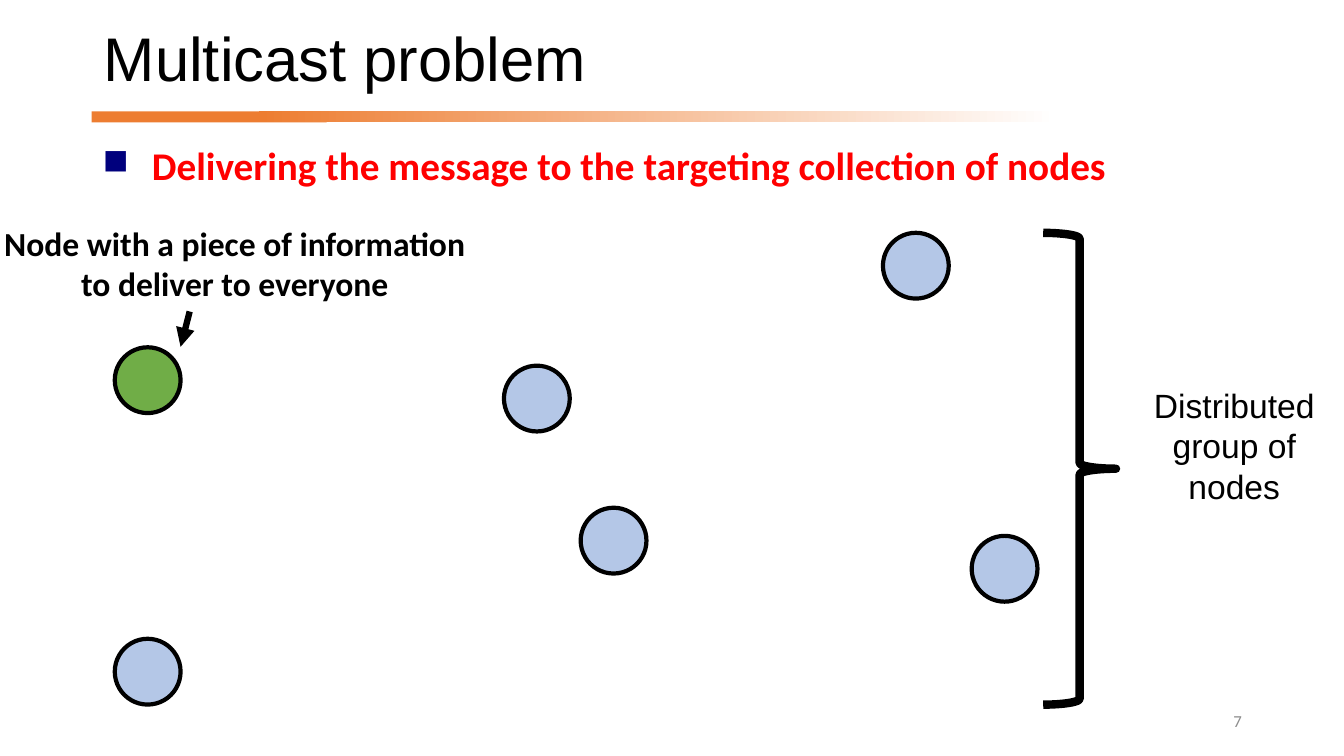
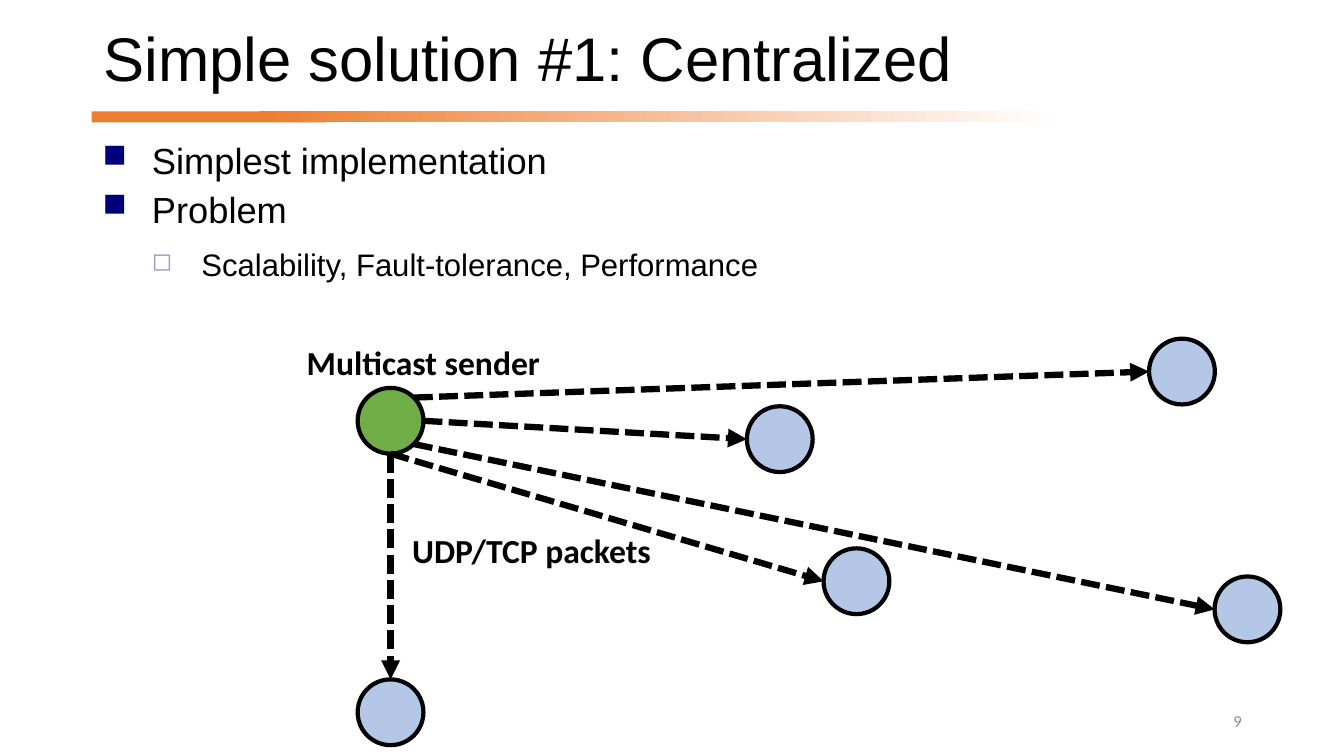
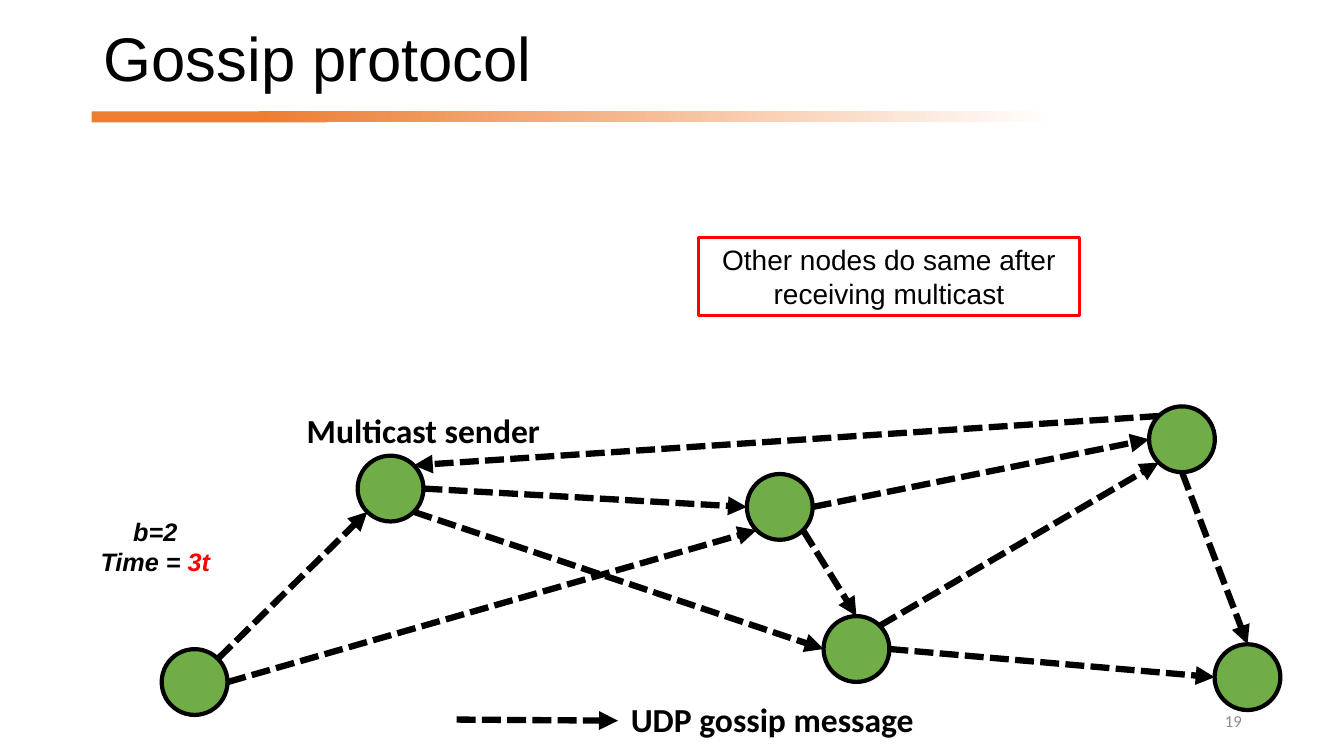
"""Build three slides on the multicast problem and the gossip protocol."""
import dataclasses
import math

import lxml.etree
import pptx
import pptx.dml.color
import pptx.enum.dml
import pptx.enum.shapes
import pptx.enum.text
import pptx.oxml.ns
import pptx.util

Pt = pptx.util.Pt
qn = pptx.oxml.ns.qn
ALIGN = pptx.enum.text.PP_ALIGN
ANCHOR = pptx.enum.text.MSO_ANCHOR
SHAPE = pptx.enum.shapes.MSO_SHAPE


@dataclasses.dataclass(frozen=True)
class Theme:
    """Colours, fonts and type sizes of the presentation."""
    ink: str = "000000"
    paper: str = "FFFFFF"
    accent: str = "ED7D31"
    alert: str = "FF0000"
    muted: str = "8C8C8C"
    informed: str = "70AD47"
    waiting: str = "B4C7E7"
    bullet: str = "00007D"
    sub_bullet: str = "9999CC"
    heading_font: str = "Arial"
    label_font: str = "Calibri"
    title: float = 44
    lead: float = 28
    body: float = 25.9
    label: float = 24
    sub_body: float = 22.2
    callout: float = 20
    note: float = 18
    footer: float = 12
    node_line: float = 3
    arrow_line: float = 4.5
    brace_line: float = 6
    callout_line: float = 2.25


THEME = Theme()
LABEL = dict(font=THEME.label_font, bold=True)
BULLET = dict(bullet=("■", THEME.bullet, 90), indent=35.3, before=10)
SUB_BULLET = dict(bullet=("◻", THEME.sub_bullet, 80), indent=70.6, before=5)
NODE_SIZE = 47
HANGING = 35.3
NODES = {
    "middle": (557, 313.7),
    "lower": (611.8, 415.2),
    "corner": (279, 508.8),
    "right": (891.1, 435.3),
    "top": (844.3, 265.4),
    "sender": (279, 300.6),
}
COMPASS = {name: math.radians(45 * step) for step, name in
           enumerate(("E", "SE", "S", "SW", "W", "NW", "N", "NE"))}


def rgb(color):
    """Turn a hex string into a colour."""
    return pptx.dml.color.RGBColor.from_string(color)


def write(frame, text, size=THEME.label, font=THEME.heading_font, color=THEME.ink,
          bold=False, italic=False, align=ALIGN.LEFT, spacing=None, before=None,
          indent=None, bullet=None, same_line=False):
    """Add text to a frame, as a new paragraph unless same_line is set."""
    paragraph = frame.paragraphs[-1]
    if paragraph.runs and not same_line:
        paragraph = frame.add_paragraph()
    run = paragraph.add_run()
    run.text = text
    run.font.size = Pt(size)
    run.font.name = font
    run.font.bold = bold
    run.font.italic = italic
    run.font.color.rgb = rgb(color)
    if same_line:
        return
    paragraph.alignment = align
    if spacing:
        paragraph.line_spacing = spacing
    if before:
        paragraph.space_before = Pt(before)
    if bullet:
        character, bullet_color, percent = bullet
        properties = paragraph._p.get_or_add_pPr()
        properties.set("marL", str(Pt(indent)))
        properties.set("indent", str(-Pt(HANGING)))
        tint = lxml.etree.SubElement(properties, qn("a:buClr"))
        lxml.etree.SubElement(tint, qn("a:srgbClr"), val=bullet_color)
        lxml.etree.SubElement(properties, qn("a:buSzPct"), val=str(percent * 1000))
        lxml.etree.SubElement(properties, qn("a:buChar"), char=character)


class Deck:
    """Hold the style and the current slide, and draw its elements."""

    def __init__(self, theme):
        """Start an empty widescreen presentation."""
        self.theme = theme
        self.presentation = pptx.Presentation()
        self.presentation.slide_width = Pt(960)
        self.presentation.slide_height = Pt(540)
        self.slide = None

    def new_slide(self, title, number):
        """Add a slide with its title, gradient band and number."""
        theme = self.theme
        self.slide = self.presentation.slides.add_slide(self.presentation.slide_layouts[6])
        self.shape(SHAPE.RECTANGLE, 65.5, 79.5, 167.8, 8, fill=theme.accent)
        band = self.shape(SHAPE.RECTANGLE, 185, 79.5, 570.2, 8)
        band.fill.gradient()
        band.fill.gradient_angle = 0
        for stop, color in zip(band.fill.gradient_stops, (theme.accent, theme.paper)):
            stop.color.rgb = rgb(color)
        write(self.frame(67, 12.2, 802, 64, ANCHOR.MIDDLE), title,
              size=theme.title, spacing=0.9)
        write(self.frame(678.2, 500.4, 216, 28.8, ANCHOR.MIDDLE), number, size=theme.footer,
              font=theme.label_font, color=theme.muted, align=ALIGN.RIGHT)

    def shape(self, kind, left, top, width, height, fill=None, line=None, weight=0):
        """Add a preset shape."""
        shape = self.slide.shapes.add_shape(kind, Pt(left), Pt(top), Pt(width), Pt(height))
        shape.shadow.inherit = False
        if fill:
            shape.fill.solid()
            shape.fill.fore_color.rgb = rgb(fill)
        else:
            shape.fill.background()
        if line:
            shape.line.color.rgb = rgb(line)
            shape.line.width = Pt(weight)
        else:
            shape.line.fill.background()
        return shape

    def frame(self, left, top, width, height, anchor=ANCHOR.TOP):
        """Add a wrapping text box and return its text frame."""
        box = self.slide.shapes.add_textbox(Pt(left), Pt(top), Pt(width), Pt(height))
        box.text_frame.word_wrap = True
        box.text_frame.vertical_anchor = anchor
        return box.text_frame

    def arrow(self, start, end, dashed=True):
        """Add a straight arrow between two points."""
        connector = self.slide.shapes.add_connector(
            pptx.enum.shapes.MSO_CONNECTOR.STRAIGHT, *map(Pt, (*start, *end)))
        connector.line.color.rgb = rgb(self.theme.ink)
        connector.line.width = Pt(self.theme.arrow_line)
        if dashed:
            connector.line.dash_style = pptx.enum.dml.MSO_LINE.SQUARE_DOT
        properties = connector.element.spPr
        lxml.etree.SubElement(properties.find(qn("a:ln")), qn("a:tailEnd"), type="triangle")
        lxml.etree.SubElement(properties, qn("a:effectLst"))

    def network(self, shift, informed, moved=None, edges=()):
        """Draw the shifted nodes and the messages between them."""
        radius = NODE_SIZE / 2
        centers = {name: (x + shift[0], y + shift[1]) for name, (x, y) in NODES.items()}
        centers.update(moved or {})
        for name, (x, y) in centers.items():
            fill = self.theme.informed if name in informed else self.theme.waiting
            self.shape(SHAPE.OVAL, x - radius, y - radius, NODE_SIZE, NODE_SIZE,
                       fill, self.theme.ink, self.theme.node_line)

        def rim(name, side):
            """Return the point of a node's rim on a compass side."""
            x, y = centers[name]
            angle = COMPASS[side]
            return x + radius * math.cos(angle), y + radius * math.sin(angle)

        for source, source_side, target, target_side in edges:
            self.arrow(rim(source, source_side), rim(target, target_side))

    def sender_label(self, top):
        """Name the sending node."""
        write(self.frame(199.4, top, 206, 36), "Multicast sender", align=ALIGN.CENTER, **LABEL)


def problem_slide(deck):
    """Show the sender and the group to reach."""
    theme = deck.theme
    deck.new_slide("Multicast problem", "7")
    write(deck.frame(66.2, 101.5, 828, 386.6),
          "Delivering the message to the targeting collection of nodes",
          size=theme.lead, color=theme.alert, spacing=0.9, **LABEL, **BULLET)
    deck.network((-173.5, -29), {"sender"}, moved={"top": (654.2, 189.8)})
    brace = deck.shape(SHAPE.RIGHT_BRACE, 745.2, 166.3, 52, 337,
                       line=theme.ink, weight=theme.brace_line)
    brace.adjustments[0] = 0.08
    brace.adjustments[1] = 0.5
    write(deck.frame(815, 271.4, 133.2, 94.3), "Distributed group of nodes", align=ALIGN.CENTER)
    write(deck.frame(-13, 155.5, 361.4, 65.5),
          "Node with a piece of information to deliver to everyone",
          align=ALIGN.CENTER, **LABEL)
    deck.arrow((135.5, 222.5), (129, 247.7), dashed=False)


def centralized_slide(deck):
    """Show one sender that reaches every node itself."""
    theme = deck.theme
    deck.new_slide("Simple solution #1: Centralized", "9")
    body = deck.frame(66.2, 101.5, 828, 106.6)
    for text in ("Simplest implementation", "Problem"):
        write(body, text, size=theme.body, spacing=0.8, **BULLET)
    write(body, "Scalability, Fault-tolerance, Performance",
          size=theme.sub_body, spacing=1.2, **SUB_BULLET)
    deck.sender_label(240.5)
    deck.network((0, 0), {"sender"}, edges=(
        ("sender", "S", "corner", "N"),
        ("sender", "S", "lower", "W"),
        ("sender", "E", "middle", "W"),
        ("sender", "NE", "top", "W"),
        ("sender", "SE", "right", "W"),
    ))
    write(deck.frame(287.3, 375.1, 186.5, 36), "UDP/TCP packets", **LABEL)


def gossip_slide(deck):
    """Show every node passing the message on to two others."""
    theme = deck.theme
    deck.new_slide("Gossip protocol", "19")
    deck.sender_label(288.9)
    deck.network((0, 48.4), set(NODES), moved={"corner": (139, 487.2)}, edges=(
        ("sender", "SE", "lower", "W"),
        ("sender", "E", "middle", "W"),
        ("corner", "E", "middle", "SW"),
        ("corner", "NE", "sender", "SW"),
        ("middle", "E", "top", "W"),
        ("middle", "SE", "lower", "N"),
        ("lower", "NE", "top", "SW"),
        ("lower", "E", "right", "W"),
        ("top", "S", "right", "N"),
        ("top", "NW", "sender", "NE"),
    ))
    callout = deck.shape(SHAPE.RECTANGLE, 499, 169.5, 272, 55.7,
                         line=theme.alert, weight=theme.callout_line)
    callout.text_frame.word_wrap = True
    write(callout.text_frame, "Other nodes do same after receiving multicast",
          size=theme.callout, align=ALIGN.CENTER)
    note = dict(size=theme.note, bold=True, italic=True, align=ALIGN.CENTER)
    status = deck.frame(46.8, 365, 128.2, 51)
    write(status, "b=2", **note)
    write(status, "Time = ", **note)
    write(status, "3t", color=theme.alert, same_line=True, **note)
    write(deck.frame(443.5, 495.4, 234.7, 36), "UDP gossip message", **LABEL)
    deck.arrow((326.2, 514), (441.4, 514.8))


def main():
    """Build and save the slides."""
    deck = Deck(THEME)
    problem_slide(deck)
    centralized_slide(deck)
    gossip_slide(deck)
    deck.presentation.save("out.pptx")


if __name__ == "__main__":
    main()
